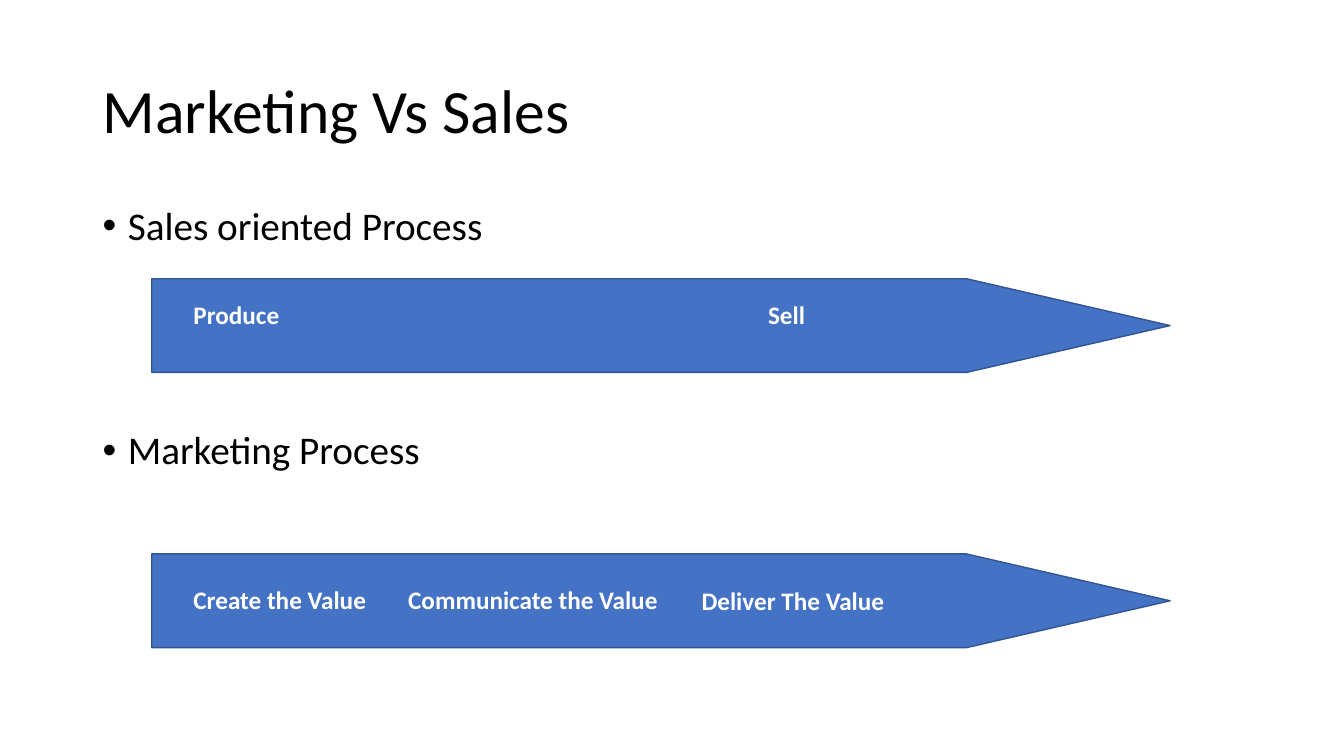
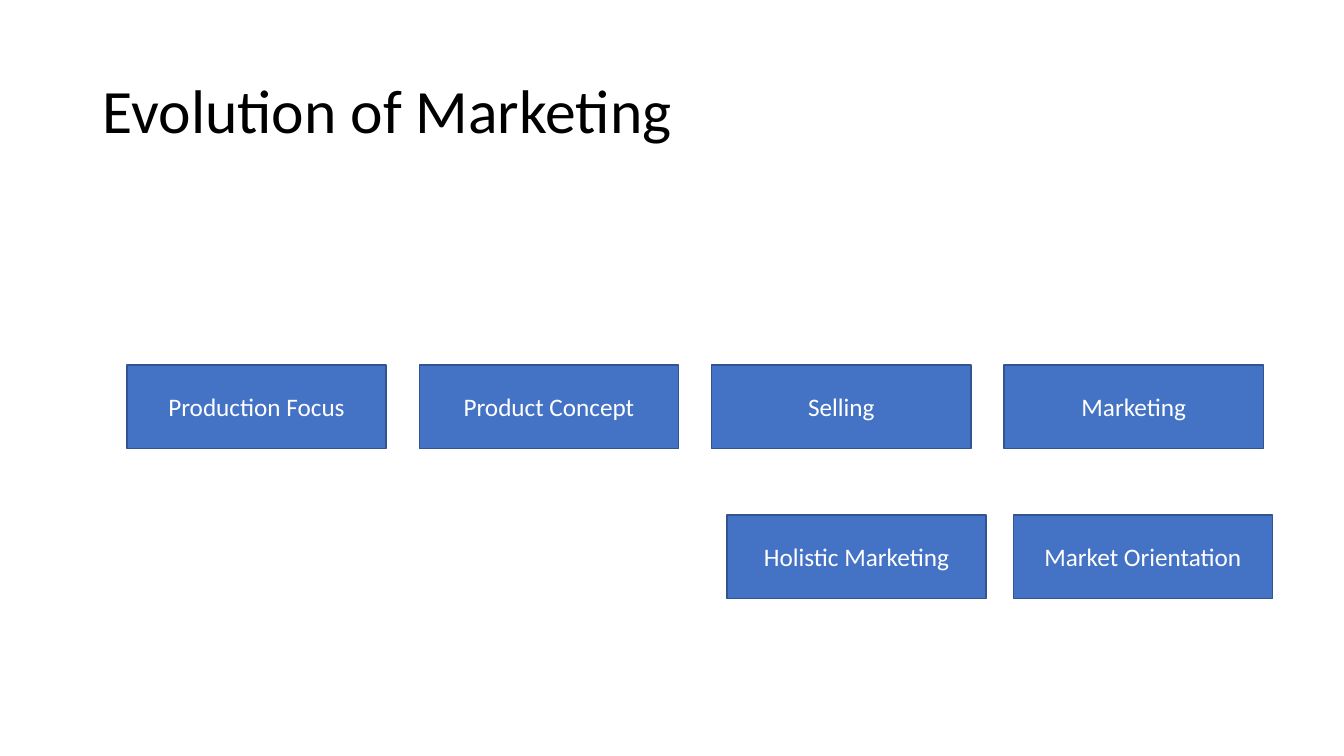
from dataclasses import dataclass

from lxml.etree import SubElement
from pptx import Presentation
from pptx.dml.color import RGBColor
from pptx.enum.shapes import MSO_SHAPE
from pptx.enum.text import MSO_ANCHOR, MSO_AUTO_SIZE, PP_ALIGN
from pptx.oxml.ns import qn
from pptx.util import Emu, Pt

# Shared style
EMU_PER_PX = 9144
FONT = "Calibri"
BLACK, WHITE, BLUE, DARK_BLUE = "000000", "FFFFFF", "4472C4", "325491"
LINE_SPACING = 0.9


@dataclass(frozen=True)
class Box:
    left: int
    top: int
    width: int
    height: int


@dataclass(frozen=True)
class Label:
    text: str
    left: int
    top: int


@dataclass(frozen=True)
class BoxRow:
    left: int
    top: int
    pitch: int
    names: tuple[str, ...]


TITLE_BOX = Box(92, 40, 1150, 145)
BODY_BOX = Box(92, 200, 1150, 476)
BULLET_INDENT = 25
BULLET_GAP = 130  # points between the two bullets

# Process arrows and their step labels
ARROWS = (Box(151, 276, 1010, 93), Box(151, 549, 1010, 93))
LABEL_WIDTH, LABEL_HEIGHT = 306, 40
STEPS = (
    Label("Produce", 182, 292),
    Label("Sell", 752, 292),
    Label("Create the Value", 182, 575),
    Label("Communicate the Value", 395, 575),
    Label("Deliver The Value", 686, 576),
)

# Rows of marketing eras
ERA_WIDTH, ERA_HEIGHT = 257, 83
ERA_ROWS = (
    BoxRow(126, 362, 290, ("Production Focus", "Product Concept", "Selling", "Marketing")),
    BoxRow(721, 511, 284, ("Holistic Marketing", "Market Orientation")),
)


def px(length: int) -> Emu:
    return Emu(length * EMU_PER_PX)


def color(value: str) -> RGBColor:
    return RGBColor.from_string(value)


def add_run(paragraph, text: str, size: int, text_color: str, bold: bool = False) -> None:
    run = paragraph.add_run()
    run.text = text
    run.font.name = FONT
    run.font.size = Pt(size)
    run.font.bold = bold
    run.font.color.rgb = color(text_color)


def add_text_frame(slide, box: Box):
    shape = slide.shapes.add_textbox(px(box.left), px(box.top), px(box.width), px(box.height))
    shape.text_frame.word_wrap = True
    return shape.text_frame


def add_title(slide, text: str) -> None:
    frame = add_text_frame(slide, TITLE_BOX)
    frame.vertical_anchor = MSO_ANCHOR.MIDDLE
    paragraph = frame.paragraphs[0]
    paragraph.line_spacing = LINE_SPACING
    add_run(paragraph, text, 44, BLACK)


def add_bullets(slide, texts: tuple[str, ...]) -> None:
    frame = add_text_frame(slide, BODY_BOX)
    for index, text in enumerate(texts):
        paragraph = frame.add_paragraph() if index else frame.paragraphs[0]
        paragraph.line_spacing = LINE_SPACING
        if index:
            paragraph.space_before = Pt(BULLET_GAP)
        properties = paragraph._p.get_or_add_pPr()
        properties.set("marL", str(px(BULLET_INDENT)))
        properties.set("indent", str(-px(BULLET_INDENT)))
        SubElement(properties, qn("a:buFont")).set("typeface", "Arial")
        SubElement(properties, qn("a:buChar")).set("char", "•")
        add_run(paragraph, text, 28, BLACK)


def add_blue_shape(slide, kind: MSO_SHAPE, box: Box):
    shape = slide.shapes.add_shape(
        kind, px(box.left), px(box.top), px(box.width), px(box.height)
    )
    shape.shadow.inherit = False
    shape.fill.solid()
    shape.fill.fore_color.rgb = color(BLUE)
    shape.line.color.rgb = color(DARK_BLUE)
    shape.line.width = Pt(1)
    return shape


def add_process_arrow(slide, box: Box) -> None:
    # The connector points down, so it is laid out upright and turned to the right
    shift = (box.width - box.height) // 2
    upright = Box(box.left + shift, box.top - shift, box.height, box.width)
    add_blue_shape(slide, MSO_SHAPE.FLOWCHART_OFFPAGE_CONNECTOR, upright).rotation = 270


def add_step(slide, step: Label) -> None:
    frame = add_text_frame(slide, Box(step.left, step.top, LABEL_WIDTH, LABEL_HEIGHT))
    frame.auto_size = MSO_AUTO_SIZE.SHAPE_TO_FIT_TEXT
    add_run(frame.paragraphs[0], step.text, 18, WHITE, bold=True)


def add_era(slide, name: str, box: Box) -> None:
    frame = add_blue_shape(slide, MSO_SHAPE.RECTANGLE, box).text_frame
    frame.word_wrap = True
    frame.vertical_anchor = MSO_ANCHOR.MIDDLE
    paragraph = frame.paragraphs[0]
    paragraph.alignment = PP_ALIGN.CENTER
    add_run(paragraph, name, 18, WHITE)


def add_titled_slide(presentation, title: str):
    slide = presentation.slides.add_slide(presentation.slide_layouts[6])
    add_title(slide, title)
    return slide


def build_comparison(presentation) -> None:
    slide = add_titled_slide(presentation, "Marketing Vs Sales")
    add_bullets(slide, ("Sales oriented Process", "Marketing Process"))
    for arrow in ARROWS:
        add_process_arrow(slide, arrow)
    for step in STEPS:
        add_step(slide, step)


def build_evolution(presentation) -> None:
    slide = add_titled_slide(presentation, "Evolution of Marketing")
    for row in ERA_ROWS:
        for column, name in enumerate(row.names):
            left = row.left + column * row.pitch
            add_era(slide, name, Box(left, row.top, ERA_WIDTH, ERA_HEIGHT))


def main() -> None:
    presentation = Presentation()
    presentation.slide_width = px(1333)
    presentation.slide_height = px(750)
    build_comparison(presentation)
    build_evolution(presentation)
    presentation.save("out.pptx")


if __name__ == "__main__":
    main()
